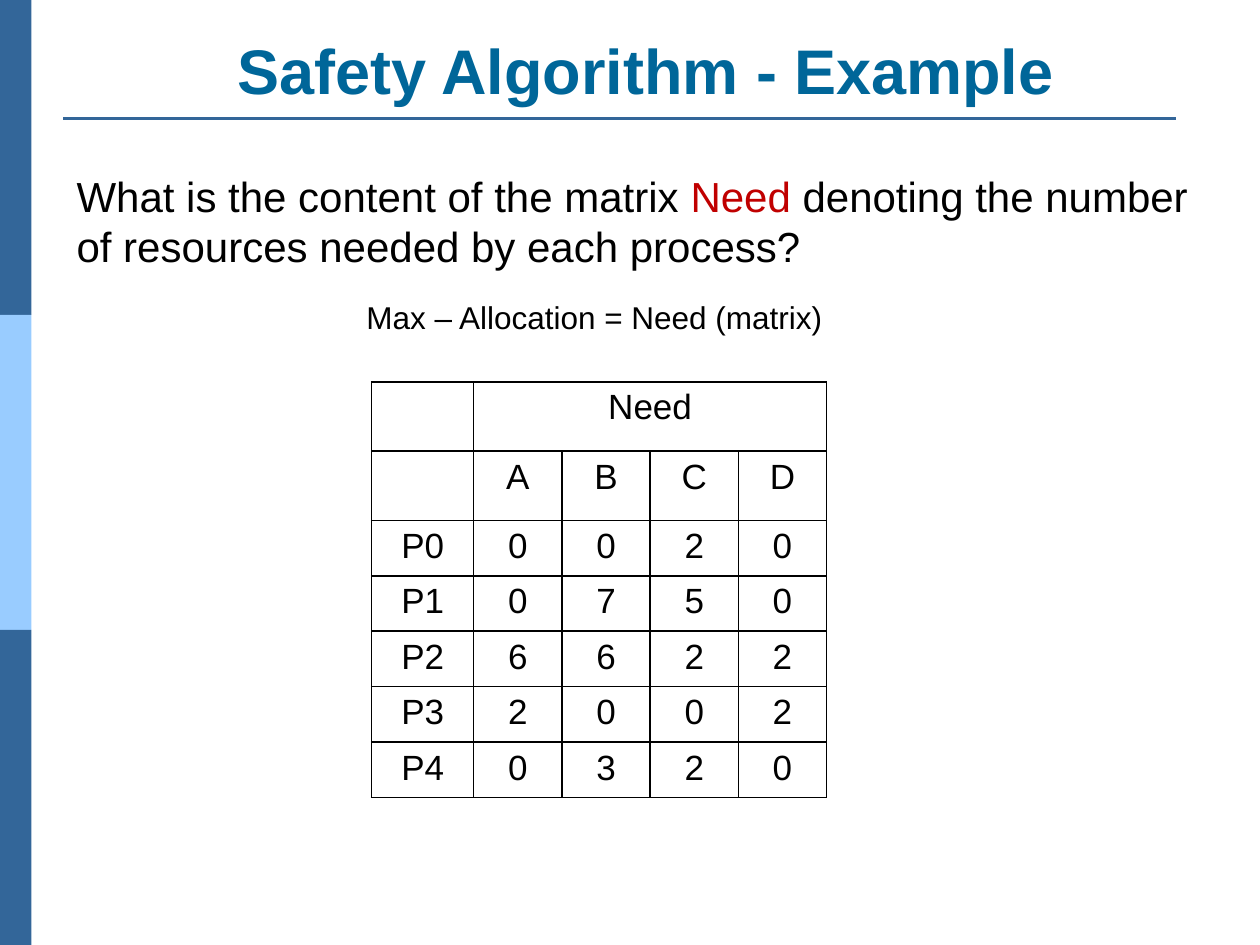
from dataclasses import dataclass

from pptx import Presentation
from pptx.dml.color import RGBColor
from pptx.enum.shapes import MSO_CONNECTOR, MSO_SHAPE
from pptx.enum.text import MSO_ANCHOR, PP_ALIGN
from pptx.oxml.ns import qn
from pptx.slide import Slide
from pptx.table import _Cell
from pptx.text.text import Font, TextFrame
from pptx.util import Inches, Pt
from lxml import etree

RECT = MSO_SHAPE.RECTANGLE
STRAIGHT = MSO_CONNECTOR.STRAIGHT
BOTTOM = MSO_ANCHOR.BOTTOM
CENTER = PP_ALIGN.CENTER


@dataclass(frozen=True)
class Theme:
    font: str = "Arial"
    title: str = "006699"
    text: str = "000000"
    accent: str = "C00000"
    dark: str = "336699"
    light: str = "99CCFF"
    title_pt: int = 36
    question_pt: int = 24
    caption_pt: int = 18
    table_pt: int = 20
    rule_pt: float = 1.5
    border_pt: int = 1


@dataclass(frozen=True)
class Box:
    left: float
    top: float
    width: float
    height: float

    def emu(self) -> tuple:
        return tuple(Inches(v) for v in (self.left, self.top, self.width, self.height))


THEME = Theme()
BAND_COLORS = (THEME.dark, THEME.light, THEME.dark)
BAND_WIDTH, BAND_HEIGHT = 0.25, 2.5
COLUMN_WIDTHS = (0.81,) + (0.7,) * 4
ROW_HEIGHTS = (0.55,) * 2 + (0.44,) * 5
NEED = (
    ("", "Need", "", "", ""),
    ("", "A", "B", "C", "D"),
    ("P0", "0", "0", "2", "0"),
    ("P1", "0", "7", "5", "0"),
    ("P2", "6", "6", "2", "2"),
    ("P3", "2", "0", "0", "2"),
    ("P4", "0", "3", "2", "0"),
)


def rgb(color: str) -> RGBColor:
    return RGBColor.from_string(color)


def style(font: Font, size: int, color: str = THEME.text, bold: bool = False) -> None:
    font.name, font.size, font.bold = THEME.font, Pt(size), bold
    font.color.rgb = rgb(color)


def add_band(s: Slide, box: Box, color: str) -> None:
    sp = s.shapes.add_shape(RECT, *box.emu())
    sp.shadow.inherit = False
    sp.fill.solid()
    sp.fill.fore_color.rgb = rgb(color)
    sp.line.fill.background()


def add_rule(s: Slide, left: float, right: float, y: float) -> None:
    rule = s.shapes.add_connector(STRAIGHT, Inches(left), Inches(y), Inches(right), Inches(y))
    rule.line.color.rgb = rgb(THEME.dark)
    rule.line.width = Pt(THEME.rule_pt)
    etree.SubElement(rule._element.spPr, qn("a:effectLst"))


def set_title(s: Slide, box: Box, text: str) -> None:
    sp = s.shapes.title
    sp.left, sp.top, sp.width, sp.height = box.emu()
    tf = sp.text_frame
    tf.text = text
    tf.vertical_anchor = BOTTOM
    p = tf.paragraphs[0]
    p.alignment = CENTER
    style(p.font, THEME.title_pt, THEME.title, bold=True)


def add_textbox(s: Slide, box: Box) -> TextFrame:
    tf = s.shapes.add_textbox(*box.emu()).text_frame
    tf.word_wrap = True
    return tf


def add_question(s: Slide, box: Box) -> None:
    p = add_textbox(s, box).paragraphs[0]
    style(p.font, THEME.question_pt)
    p.add_run().text = "What is the content of the matrix "
    r = p.add_run()
    r.text = "Need "
    r.font.color.rgb = rgb(THEME.accent)
    p.add_run().text = "denoting the number of resources needed by each process?"


def add_caption(s: Slide, box: Box, text: str) -> None:
    p = add_textbox(s, box).paragraphs[0]
    p.text = text
    p._p.get_or_add_pPr().set("marL", str(Inches(0.5)))
    style(p.font, THEME.caption_pt)


def set_borders(cell: _Cell) -> None:
    tc_pr = cell._tc.get_or_add_tcPr()
    for side in ("lnL", "lnR", "lnT", "lnB"):
        ln = etree.SubElement(tc_pr, qn(f"a:{side}"), w=str(Pt(THEME.border_pt)))
        fill = etree.SubElement(ln, qn("a:solidFill"))
        etree.SubElement(fill, qn("a:srgbClr"), val=THEME.text)


def add_need_table(s: Slide, left: float, top: float) -> None:
    box = Box(left, top, sum(COLUMN_WIDTHS), sum(ROW_HEIGHTS))
    table = s.shapes.add_table(len(NEED), len(COLUMN_WIDTHS), *box.emu()).table
    table.first_row = table.horz_banding = False
    for column, width in zip(table.columns, COLUMN_WIDTHS):
        column.width = Inches(width)
    for row, height, values in zip(table.rows, ROW_HEIGHTS, NEED):
        row.height = Inches(height)
        for cell, value in zip(row.cells, values):
            set_borders(cell)
            cell.fill.background()
            p = cell.text_frame.paragraphs[0]
            p.text = value
            p.alignment = CENTER
            style(p.font, THEME.table_pt)
    table.cell(0, 1).merge(table.cell(0, len(COLUMN_WIDTHS) - 1))


def main() -> None:
    """Build the safety algorithm slide with its Need matrix."""
    prs = Presentation()
    prs.slide_width, prs.slide_height = Inches(10), Inches(7.5)
    s = prs.slides.add_slide(prs.slide_layouts.get_by_name("Title Only"))
    for i, color in enumerate(BAND_COLORS):
        add_band(s, Box(0, i * BAND_HEIGHT, BAND_WIDTH, BAND_HEIGHT), color)
    add_rule(s, 0.5, 9.33, 0.94)
    set_title(s, Box(0.51, 0.17, 9.23, 0.73), "Safety Algorithm - Example")
    add_question(s, Box(0.51, 1.3, 9.1, 0.91))
    add_caption(s, Box(2.31, 2.32, 4.43, 0.4), "Max – Allocation = Need (matrix)")
    add_need_table(s, 2.95, 3.03)
    prs.save("out.pptx")


if __name__ == "__main__":
    main()
